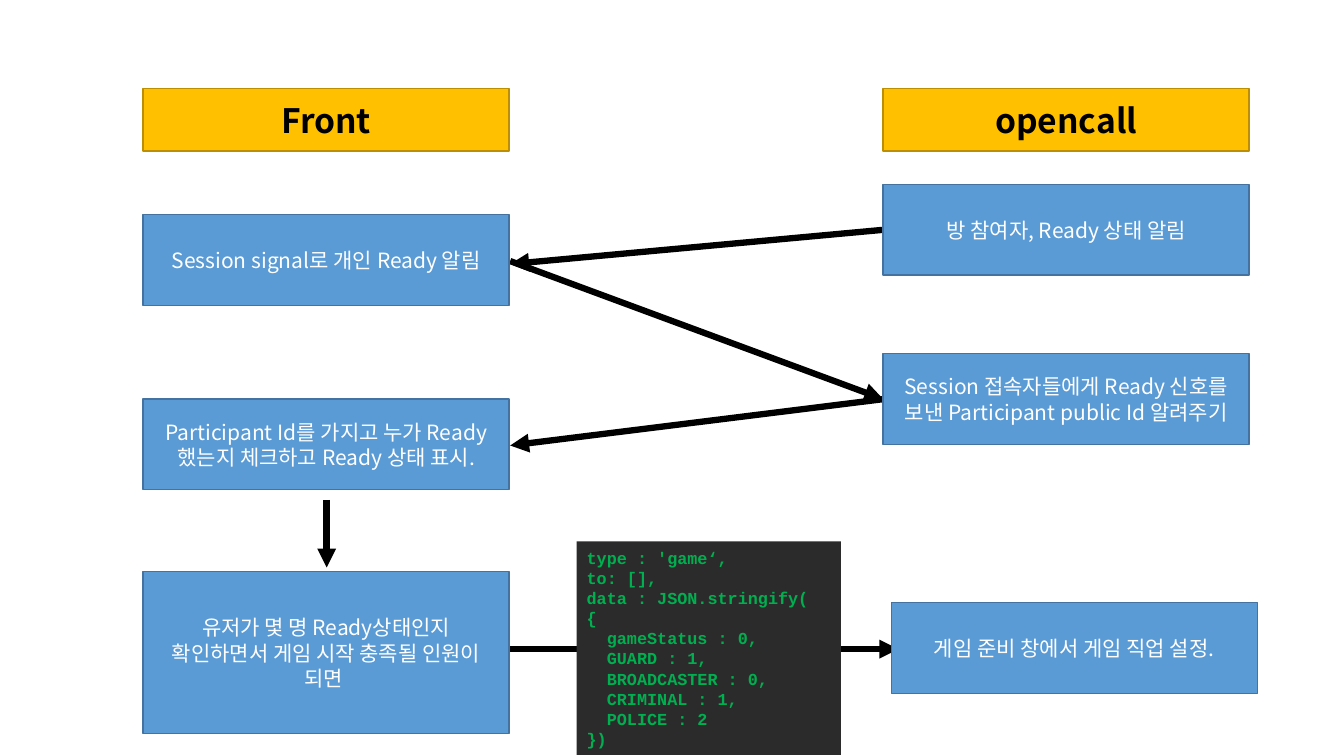
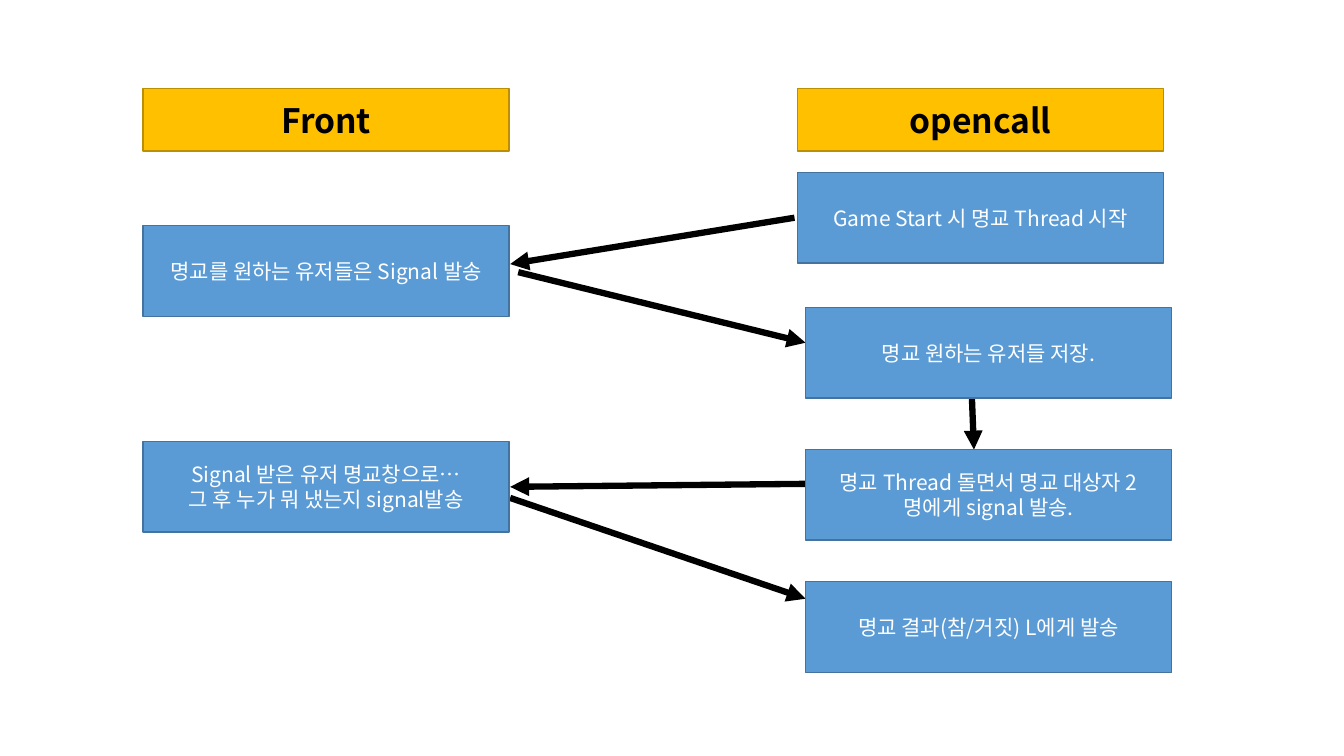
import pptx
import pptx.util
import pptx.dml.color
import pptx.enum.shapes
import pptx.enum.text
import pptx.oxml
import pptx.oxml.ns
import lxml.etree

Inches = pptx.util.Inches
RGBColor = pptx.dml.color.RGBColor

BLACK = RGBColor(0x00, 0x00, 0x00)
WHITE = RGBColor(0xFF, 0xFF, 0xFF)
AMBER = RGBColor(0xFF, 0xC0, 0x00)
AMBER_EDGE = RGBColor(0xBD, 0x8E, 0x00)
BLUE = RGBColor(0x5B, 0x9B, 0xD5)
BLUE_EDGE = RGBColor(0x43, 0x73, 0x9E)
CODE_BACKGROUND = RGBColor(0x2B, 0x2B, 0x2B)
CODE_GREEN = RGBColor(0x00, 0xB0, 0x50)

BODY_FONT = "Noto Sans CJK KR"
CODE_FONT = "Courier New"
BOX_WIDTH = 3.63
STEP_HEIGHT = 0.9
HEADER_TOP, HEADER_HEIGHT = 0.88, 0.62
FRONT_LEFT = 1.42
FRONT_RIGHT = 5.06


def add_text_run(paragraph, text, font_name, size, color, bold):
    run = paragraph.add_run()
    run.text = text
    font = run.font
    font.name, font.size, font.bold = font_name, pptx.util.Pt(size), bold
    font.color.rgb = color
    east_asian = lxml.etree.SubElement(font._element, pptx.oxml.ns.qn("a:ea"))
    east_asian.set("typeface", font_name)


def add_box(slide, box, paragraphs, fill, edge, font_name, size, color,
            bold=False, alignment=pptx.enum.text.PP_ALIGN.CENTER):
    shape = slide.shapes.add_shape(
        pptx.enum.shapes.MSO_SHAPE.RECTANGLE, *map(Inches, box))
    shape.shadow.inherit = False
    shape.fill.solid()
    shape.fill.fore_color.rgb = fill
    if edge is None:
        shape.line.fill.background()
    else:
        shape.line.color.rgb = edge
        shape.line.width = pptx.util.Pt(1)
    frame = shape.text_frame
    frame.word_wrap = True
    frame.vertical_anchor = pptx.enum.text.MSO_ANCHOR.MIDDLE
    for index, text in enumerate(paragraphs):
        paragraph = frame.add_paragraph() if index else frame.paragraphs[0]
        paragraph.alignment = alignment
        for line_index, line in enumerate(text.split("\n")):
            if line_index:
                paragraph.add_line_break()
            add_text_run(paragraph, line, font_name, size, color, bold)


def add_header(slide, left, title):
    add_box(slide, (left, HEADER_TOP, BOX_WIDTH, HEADER_HEIGHT), [title],
            AMBER, AMBER_EDGE, BODY_FONT, 24, BLACK, bold=True)


def add_step(slide, left, top, *paragraphs, height=STEP_HEIGHT):
    add_box(slide, (left, top, BOX_WIDTH, height), paragraphs,
            BLUE, BLUE_EDGE, BODY_FONT, 15, WHITE)


def add_code(slide, box, paragraphs):
    add_box(slide, box, paragraphs, CODE_BACKGROUND, None, CODE_FONT, 12,
            CODE_GREEN, bold=True, alignment=pptx.enum.text.PP_ALIGN.LEFT)


def add_arrow(slide, start, end):
    connector = slide.shapes.add_connector(
        pptx.enum.shapes.MSO_CONNECTOR.STRAIGHT, *map(Inches, start + end))
    connector.line.color.rgb = BLACK
    connector.line.width = pptx.util.Pt(4.5)
    line = connector.line._get_or_add_ln()
    lxml.etree.SubElement(line, pptx.oxml.ns.qn("a:tailEnd")).set("type", "triangle")
    lxml.etree.SubElement(connector._element.spPr, pptx.oxml.ns.qn("a:effectLst"))


def add_flow_slide(presentation, server_left, arrows):
    slide = presentation.slides.add_slide(presentation.slide_layouts[6])
    add_header(slide, FRONT_LEFT, "Front")
    add_header(slide, server_left, "opencall")
    for start, end in arrows:
        add_arrow(slide, start, end)
    return slide


def add_ready_slide(presentation):
    server_left = 8.76
    slide = add_flow_slide(presentation, server_left, [
        ((FRONT_RIGHT, 2.59), (server_left, 3.96)),
        ((server_left, 3.96), (FRONT_RIGHT, 4.42)),
        ((3.24, 4.96), (3.24, 5.63)),
        ((FRONT_RIGHT, 6.44), (8.91, 6.44)),
        ((server_left, 2.28), (FRONT_RIGHT, 2.62)),
    ])
    add_step(slide, FRONT_LEFT, 2.13, "Session signal로 개인 Ready 알림")
    add_step(slide, FRONT_LEFT, 3.96,
             "Participant Id를 가지고 누가 Ready 했는지 체크하고 Ready 상태 표시.")
    add_step(slide, FRONT_LEFT, 5.67,
             "유저가 몇 명 Ready상태인지 확인하면서 게임 시작 충족될 인원이 되면 ",
             height=1.61)
    add_step(slide, server_left, 1.83, "방 참여자, Ready 상태 알림")
    add_step(slide, server_left, 3.51,
             "Session 접속자들에게 Ready 신호를 보낸 Participant public Id 알려주기")
    add_step(slide, server_left + 0.08, 5.98, "게임 준비 창에서 게임 직업 설정.")
    add_code(slide, (5.72, 5.37, 2.62, 2.12), [
        "type : 'game‘,",
        "to: [],\ndata : JSON.stringify(\n{\n  gameStatus : 0,\n  GUARD : 1,",
        "  BROADCASTER : 0,\n  CRIMINAL : 1,\n  POLICE : 2\n})",
    ])


def add_thread_slide(presentation):
    server_left = 7.91
    step_left = server_left + 0.08
    slide = add_flow_slide(presentation, server_left, [
        ((7.88, 2.16), (FRONT_RIGHT, 2.62)),
        ((5.14, 2.7), (step_left, 3.4)),
        ((9.64, 3.95), (9.66, 4.46)),
        ((step_left, 4.8), (FRONT_RIGHT, 4.83)),
        ((FRONT_RIGHT, 4.94), (step_left, 5.94)),
    ])
    add_step(slide, FRONT_LEFT, 2.24, "명교를 원하는 유저들은 Signal 발송")
    add_step(slide, FRONT_LEFT, 4.38,
             "Signal 받은 유저 명교창으로…", "그 후 누가 뭐 냈는지 signal발송")
    add_step(slide, server_left, 1.71, "Game Start 시 명교 Thread 시작")
    add_step(slide, step_left, 3.05, "명교 원하는 유저들 저장.")
    add_step(slide, step_left, 4.46,
             "명교 Thread 돌면서 명교 대상자 2명에게 signal 발송.")
    add_step(slide, step_left, 5.77, "명교 결과(참/거짓) L에게 발송")


presentation = pptx.Presentation()
presentation.slide_width = Inches(13.33)
presentation.slide_height = Inches(7.5)
add_ready_slide(presentation)
add_thread_slide(presentation)
presentation.save("out.pptx")
